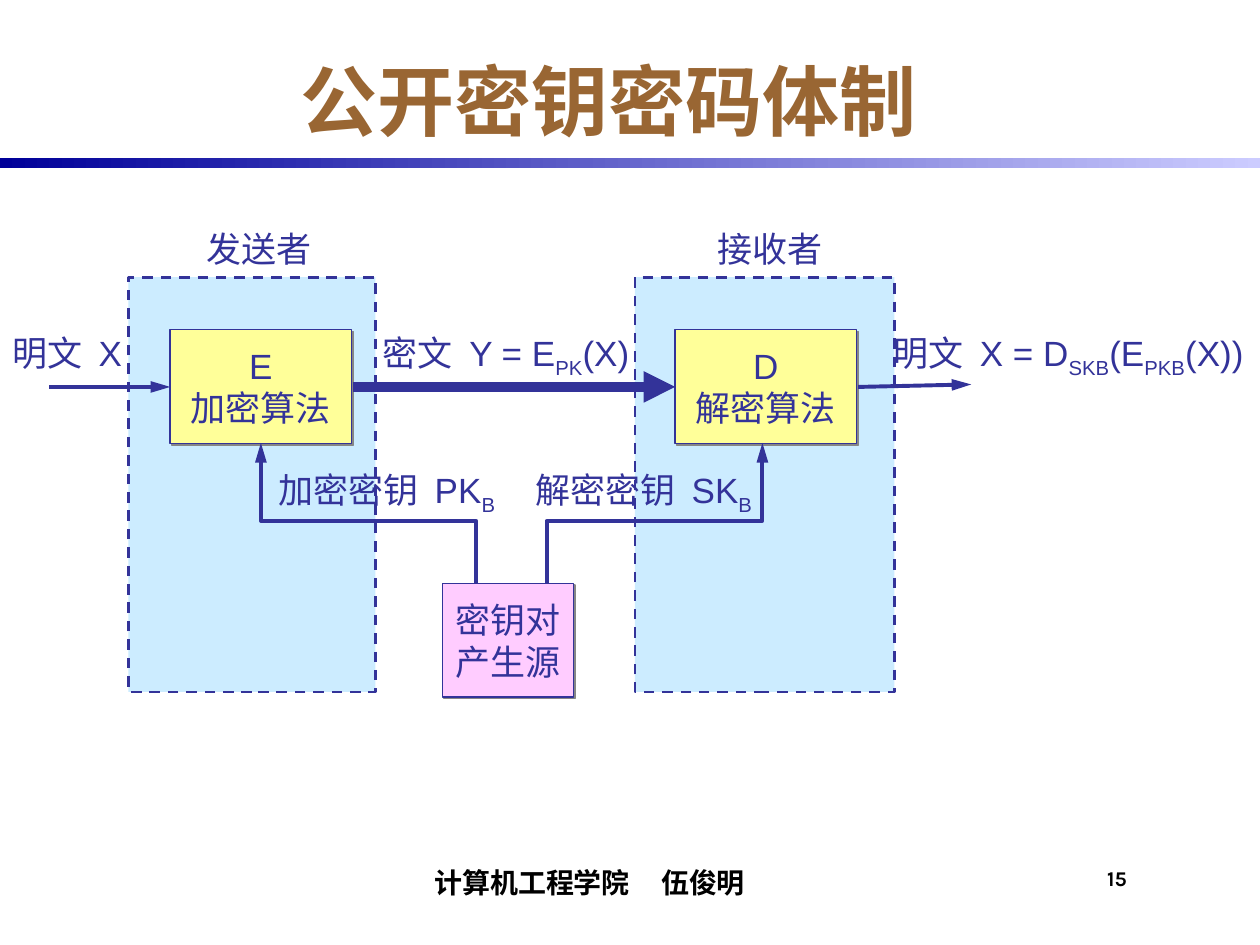
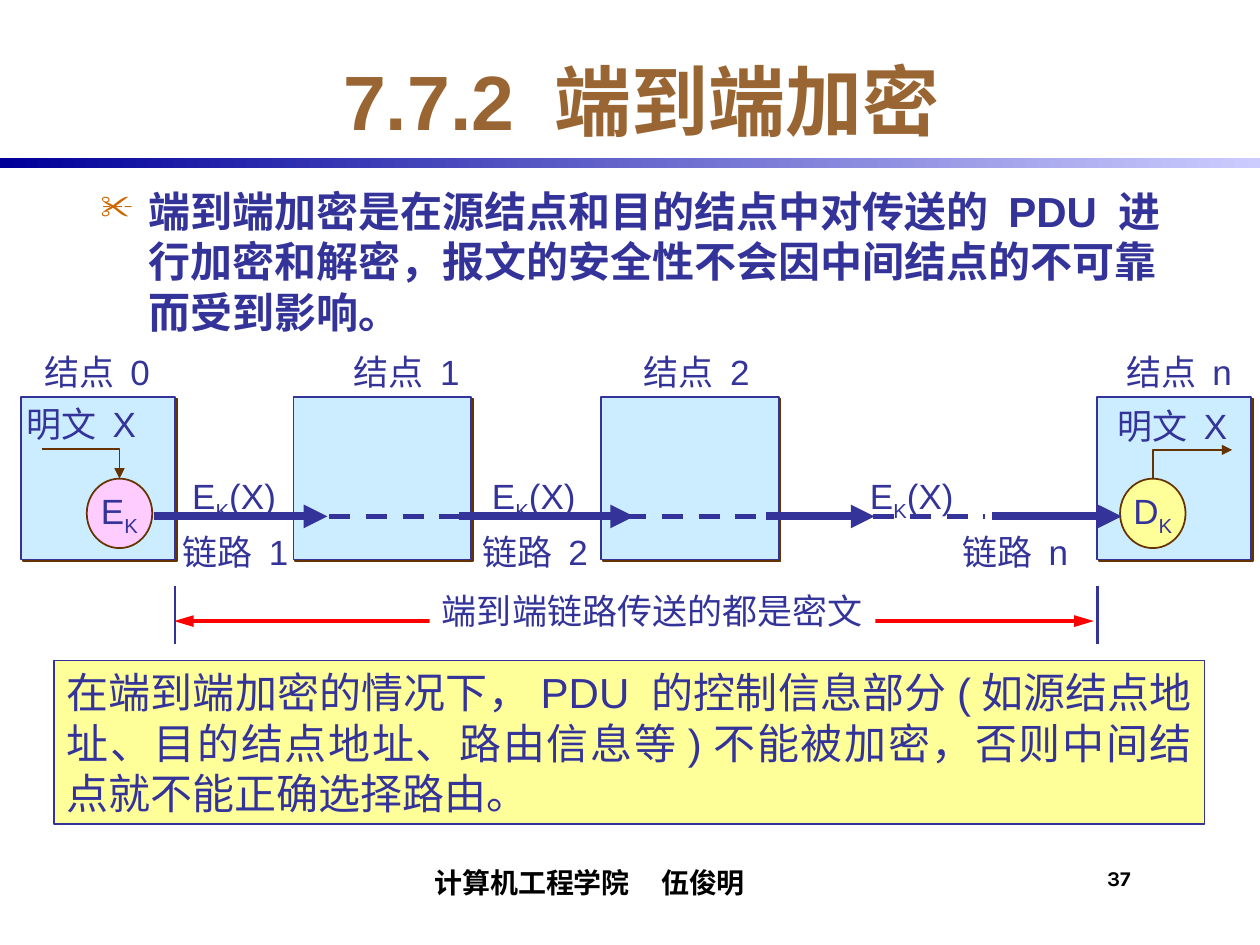
import lxml.etree
import pptx
import pptx.dml.color
import pptx.enum.dml
import pptx.enum.shapes
import pptx.enum.text
import pptx.oxml.ns
import pptx.util

Cm = pptx.util.Cm
Pt = pptx.util.Pt
qn = pptx.oxml.ns.qn
rgb = pptx.dml.color.RGBColor.from_string
element = lxml.etree.SubElement
Align = pptx.enum.text.PP_ALIGN
Anchor = pptx.enum.text.MSO_ANCHOR
Form = pptx.enum.shapes.MSO_SHAPE
DASH = pptx.enum.dml.MSO_LINE.DASH

INDIGO, BROWN, SKY, YELLOW, PINK = "333399", "663300", "CCECFF", "FFFF99", "FFCCFF"
GREY, RED, WHITE, BLACK, TITLE_BROWN = "868686", "FF0000", "FFFFFF", "000000", "996633"


def box(slide, at, lines=(), form=Form.RECTANGLE, fill=None, edge=None, weight=0.75,
        dash=False, shadow=None, size=20, ink=INDIGO, font="Arial", bold=False,
        align=Align.LEFT, anchor=Anchor.TOP, insets=(0.25, 0.13, 0.25, 0.13),
        wrap=False, grow=False, spacing=None):
    """Shape if filled, else text box; every second piece between bars is a subscript."""
    place = [Cm(length) for length in at]
    if fill:
        shape = slide.shapes.add_shape(form, *place)
        shape.fill.solid()
        shape.fill.fore_color.rgb = rgb(fill)
        if edge:
            shape.line.color.rgb = rgb(edge)
            shape.line.width = Pt(weight)
            if dash:
                shape.line.dash_style = DASH
        else:
            shape.line.fill.background()
        shape.shadow.inherit = False
        if shadow:
            effects = shape.element.spPr.find(qn("a:effectLst"))
            cast = element(effects, qn("a:outerShdw"), dist=str(Pt(1.4)), dir="2700000",
                           algn="ctr", rotWithShape="0")
            element(cast, qn("a:srgbClr"), val=shadow)
    else:
        shape = slide.shapes.add_textbox(*place)
    frame = shape.text_frame
    frame.word_wrap = wrap
    frame.vertical_anchor = anchor
    if grow:
        frame.auto_size = pptx.enum.text.MSO_AUTO_SIZE.SHAPE_TO_FIT_TEXT
    (frame.margin_left, frame.margin_top,
     frame.margin_right, frame.margin_bottom) = [Cm(inset) for inset in insets]
    for index, line in enumerate(lines):
        paragraph = frame.add_paragraph() if index else frame.paragraphs[0]
        paragraph.alignment = align
        if spacing:
            paragraph.line_spacing = spacing
        for order, piece in enumerate(line.split("|")):
            run = paragraph.add_run()
            run.text = piece
            run.font.name = font
            run.font.size = Pt(size)
            run.font.bold = bold
            run.font.color.rgb = rgb(ink)
            if order % 2:
                run._r.get_or_add_rPr().set("baseline", "-25000")
    return shape


def stroke(slide, points, weight, ink=INDIGO, dash=False, ends=("tailEnd",)):
    """Straight connector for two points, open outline for more."""
    points = [(Cm(x), Cm(y)) for x, y in points]
    if len(points) == 2:
        straight = pptx.enum.shapes.MSO_CONNECTOR.STRAIGHT
        shape = slide.shapes.add_connector(straight, *points[0], *points[1])
    else:
        builder = slide.shapes.build_freeform(*points[0])
        builder.add_line_segments(points[1:], close=False)
        shape = builder.convert_to_shape()
        shape.fill.background()
    shape.line.color.rgb = rgb(ink)
    shape.line.width = Pt(weight)
    if dash:
        shape.line.dash_style = DASH
    outline = shape.element.spPr.find(qn("a:ln"))
    for end in ends:
        element(outline, qn("a:" + end), type="triangle", w="med",
                len="lg" if weight == 2.25 else "med")
    element(shape.element.spPr, qn("a:effectLst"))


deck = pptx.Presentation()
deck.slide_width, deck.slide_height = Cm(25.4), Cm(19.05)

# Shared title, gradient band, footer and page number
pages = []
for title, title_width, number in [("公开密钥密码体制", 19.86, "15"),
                                   ("7.7.2 端到端加密", 21.18, "37")]:
    page = deck.slides.add_slide(deck.slide_layouts[6])
    pages.append(page)
    band = box(page, (0, 3.18, 25.4, 0.2), fill=INDIGO)
    band.fill.gradient()
    band.fill.gradient_angle = 0
    for stop, colour in zip(band.fill.gradient_stops, ("000099", "CCCCFF")):
        stop.color.rgb = rgb(colour)
    box(page, (22.22, 17.35, 1.47, 1.07), [number], size=12, ink=BLACK, font="Karla",
        bold=True, insets=(0.1, 0.1, 0, 0), wrap=True)
    footer = box(page, (8.66, 17.15, 7, 1.07), ["计算机工程学院\t伍俊明"], size=16, ink=BLACK,
                 font="Karla", bold=True, anchor=Anchor.BOTTOM, insets=(0.1, 0, 0, 0.1),
                 wrap=True)
    tabs = element(footer.text_frame.paragraphs[0]._p.get_or_add_pPr(), qn("a:tabLst"))
    element(tabs, qn("a:tab"), pos=str(Cm(4.57)), algn="l")
    box(page, (2.34, 0.84, title_width, 2.34), [title], size=44, ink=TITLE_BROWN, bold=True,
        align=Align.CENTER, anchor=Anchor.MIDDLE, wrap=True)
public_key, end_to_end = pages

# Public-key system: sender and receiver zones
for left, width in [(12.8, 5.23), (2.59, 4.98)]:
    box(public_key, (left, 5.59, width, 8.36), fill=SKY, edge=INDIGO, weight=1.5, dash=True)

for left, top, width, fill, lines in [
        (3.43, 6.65, 3.66, YELLOW, ["E", "加密算法"]),
        (13.61, 6.65, 3.66, YELLOW, ["D", "解密算法"]),
        (8.92, 11.76, 2.64, PINK, ["密钥对", "产生源"])]:
    box(public_key, (left, top, width, 2.29), lines, fill=fill, edge=INDIGO, shadow=GREY,
        align=Align.CENTER, anchor=Anchor.MIDDLE)

for start, finish, weight in [((0.99, 7.8), (3.43, 7.8), 2.25),
                              ((7.11, 7.8), (13.61, 7.8), 6),
                              ((17.3, 7.8), (19.58, 7.75), 2.25)]:
    stroke(public_key, [start, finish], weight)

for source_x, algorithm_x in [(9.6, 5.26), (11.02, 15.37)]:
    stroke(public_key, [(source_x, 11.75), (source_x, 10.5), (algorithm_x, 10.5),
                        (algorithm_x, 8.93)], 2.25)

for left, top, width, height, label in [
        (14.22, 4.45, 2.62, 1.12, "接收者"),
        (3.91, 4.45, 2.62, 1.12, "发送者"),
        (5.36, 9.32, 4.88, 1.22, "加密密钥 PK|B"),
        (10.54, 9.32, 4.88, 1.22, "解密密钥 SK|B"),
        (0, 6.55, 2.72, 1.12, "明文 X"),
        (7.47, 6.55, 5.49, 1.22, "密文 Y = E|PK|(X)")]:
    box(public_key, (left, top, width, height), [label], grow=True)
box(public_key, (17.75, 6.55, 7.57, 1.27), ["明文 X = D|SKB|(E|PKB|(X))"],
    align=Align.RIGHT, grow=True)

# End-to-end encryption: definition
definition = box(end_to_end, (1.78, 3.61, 22.12, 4.88),
                 ["端到端加密是在源结点和目的结点中对传送的 PDU 进行加密和解密，"
                  "报文的安全性不会因中间结点的不可靠而受到影响。"],
                 size=24, bold=True, wrap=True)
bullet = definition.text_frame.paragraphs[0]._p.get_or_add_pPr()
bullet.set("marL", str(Cm(0.97)))
bullet.set("indent", str(-Cm(0.97)))
element(element(bullet, qn("a:buClr")), qn("a:srgbClr"), val="CC6600")
element(bullet, qn("a:buSzPct"), val="80000")
element(bullet, qn("a:buChar"), char="✂")

# Nodes along the path
for left, width, label_left, node in [(0.43, 3.1, 0.64, "0"), (5.92, 3.58, 6.88, "1"),
                                      (12.12, 3.58, 12.73, "2"), (22.12, 3.1, 22.45, "n")]:
    box(end_to_end, (left, 8, width, 3.28), fill=SKY, edge=INDIGO, weight=1, shadow=BROWN)
    box(end_to_end, (label_left, 6.93, 2.64, 1.12), ["结点 " + node], grow=True)

for left, cipher, fill, text_left, text_top, hook in [
        (1.75, "E|K", PINK, 0.28, 7.98, [(0.84, 9.05), (2.41, 9.05), (2.41, 9.65)]),
        (22.58, "D|K", YELLOW, 22.28, 8.03, [(23.24, 9.65), (23.24, 9.07), (24.84, 9.07)])]:
    box(end_to_end, (left, 9.65, 1.32, 1.4), [cipher], form=Form.OVAL, fill=fill, edge=BROWN,
        weight=1, align=Align.CENTER, anchor=Anchor.MIDDLE)
    stroke(end_to_end, hook, 1, BROWN)
    box(end_to_end, (text_left, text_top, 2.72, 1.12), ["明文 X"], grow=True)

# Links between the nodes
for start, finish in [(3.1, 6.6), (9.25, 12.78), (19.99, 22.61), (15.44, 17.63)]:
    stroke(end_to_end, [(start, 10.41), (finish, 10.41)], 4.5)
for left, width, link in [(3.43, 2.64, "1"), (9.47, 2.64, "2"), (17.09, 5.03, "n")]:
    caption = box(end_to_end, (left, 9.25, width, 2.44), [" E|K|(X)", "链路 " + link],
                  spacing=1.2, grow=True)
    if link == "n":
        caption.text_frame.paragraphs[1]._p.get_or_add_pPr().set("marL", str(Cm(2.06)))
for start, finish in [(17.6, 19.86), (6.63, 9.8), (12.6, 15.75)]:
    stroke(end_to_end, [(start, 10.41), (finish, 10.41)], 3, dash=True, ends=())

# Span of the encrypted path
stroke(end_to_end, [(3.51, 12.52), (22.05, 12.52)], 2.25, RED, ends=("headEnd", "tailEnd"))
box(end_to_end, (8.66, 11.76, 8.99, 1.12), ["端到端链路传送的都是密文"], fill=WHITE, grow=True)
for x in (3.53, 22.12):
    stroke(end_to_end, [(x, 11.81), (x, 12.98)], 1.5, ends=())

box(end_to_end, (1.09, 13.31, 23.19, 3.3),
    ["在端到端加密的情况下，PDU 的控制信息部分(如源结点地址、目的结点地址、"
     "路由信息等)不能被加密，否则中间结点就不能正确选择路由。"],
    fill=YELLOW, edge=INDIGO, size=24, align=Align.JUSTIFY, wrap=True, grow=True)

deck.save("out.pptx")
